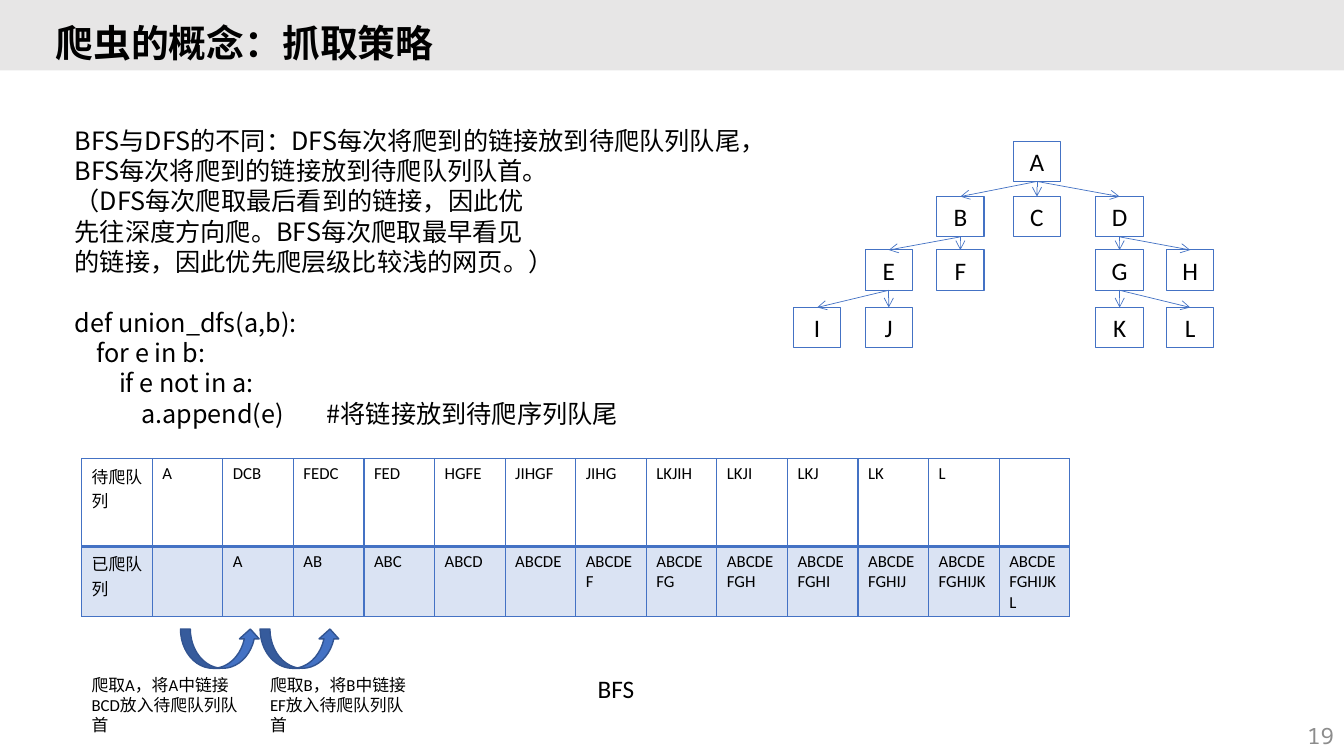
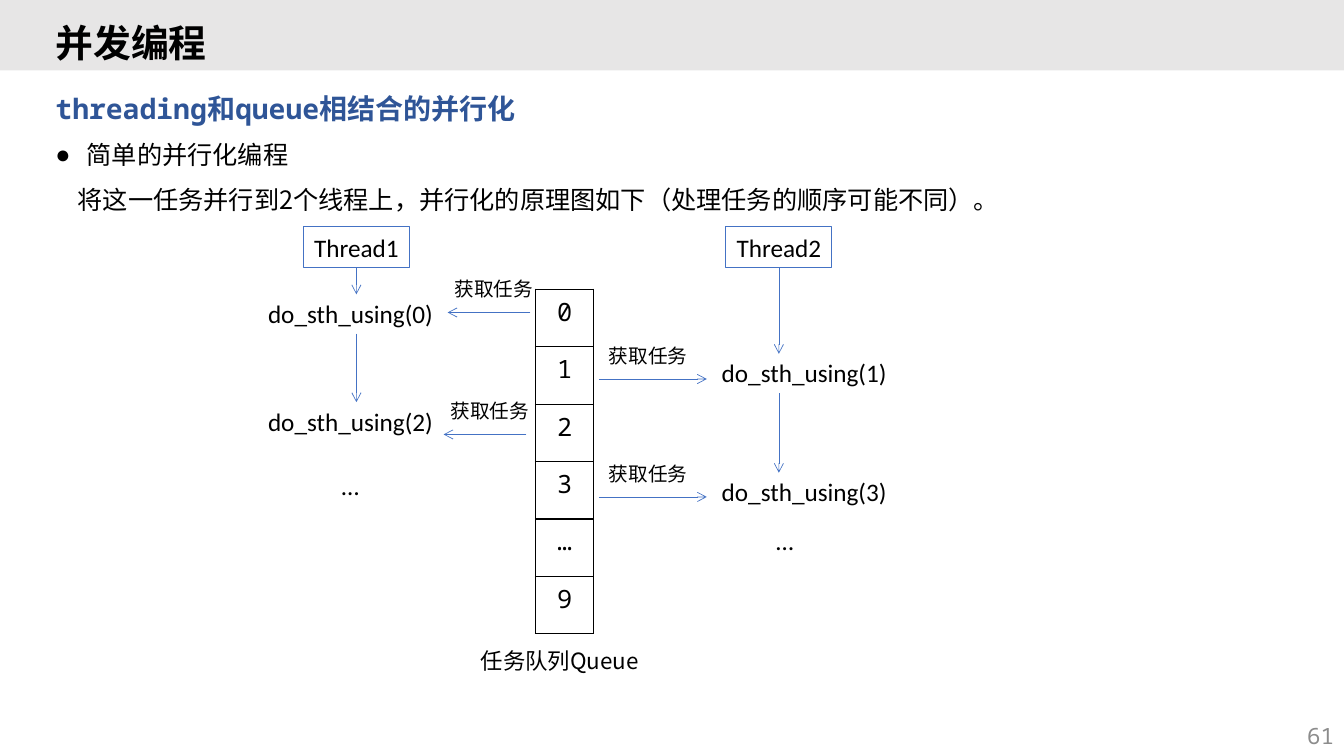
import dataclasses

import lxml.etree
import pptx
import pptx.dml.color
import pptx.enum.shapes
import pptx.enum.text
import pptx.oxml.ns
import pptx.util

SHAPE = pptx.enum.shapes.MSO_SHAPE
ALIGN = pptx.enum.text.PP_ALIGN
ANCHOR = pptx.enum.text.MSO_ANCHOR
FIT = pptx.enum.text.MSO_AUTO_SIZE
PX = 9144  # one px is 1/100 inch


@dataclasses.dataclass(frozen=True)
class Theme:
    black: str = "000000"
    band: str = "E7E6E6"
    accent: str = "4472C4"
    accent_dark: str = "325491"
    accent_tint: str = "DAE3F3"
    heading: str = "2F5597"
    muted: str = "8C8C8C"
    plain: str = "Calibri"
    cjk: str = "Noto Sans CJK SC"
    mono: str = "Noto Sans Mono"
    title: int = 27
    lead: int = 20
    text: int = 18
    caption: int = 16
    label: int = 14
    small: int = 12


@dataclasses.dataclass(frozen=True)
class Box:
    left: int
    top: int
    width: int
    height: int

    def inner(self, left, top, width, height):
        return Box(self.left + left, self.top + top, width, height)

    def emu(self):
        return [round(side * PX) for side in dataclasses.astuple(self)]


THEME = Theme()


# Basic helpers
def rgb(color):
    return pptx.dml.color.RGBColor.from_string(color)


def child(parent, tag, **attributes):
    return lxml.etree.SubElement(parent, pptx.oxml.ns.qn(tag), attributes)


def write(para, text, size=THEME.text, font=THEME.plain, color=THEME.black, bold=False):
    span = para.add_run()
    span.text = text
    span.font.size = pptx.util.Pt(size)
    span.font.name = font
    span.font.bold = bold
    span.font.color.rgb = rgb(color)
    child(span.font._element, "a:ea", typeface=THEME.cjk)


def place(shape, box):
    shape.left, shape.top, shape.width, shape.height = box.emu()


def add_shape(shapes, kind, box, fill=None, line=None, weight=0.75):
    shape = shapes.add_shape(kind, *box.emu())
    shape.shadow.inherit = False
    if fill:
        shape.fill.solid()
        shape.fill.fore_color.rgb = rgb(fill)
    else:
        shape.fill.background()
    if line:
        shape.line.color.rgb = rgb(line)
        shape.line.width = pptx.util.Pt(weight)
    else:
        shape.line.fill.background()
    return shape


def add_text(page, box, text, wrap=False, **style):
    label = page.shapes.add_textbox(*box.emu())
    label.text_frame.word_wrap = wrap
    write(label.text_frame.paragraphs[0], text, **style)
    return label


def add_node(shapes, box, text, wrap=True):
    node = add_shape(shapes, SHAPE.RECTANGLE, box, line=THEME.accent)
    node.text_frame.word_wrap = wrap
    node.text_frame.paragraphs[0].alignment = ALIGN.CENTER
    write(node.text_frame.paragraphs[0], text)
    return node


def add_arrow(shapes, *ends):
    arrow = shapes.add_connector(
        pptx.enum.shapes.MSO_CONNECTOR.STRAIGHT, *[round(end * PX) for end in ends])
    arrow.line.color.rgb = rgb(THEME.accent)
    arrow.line.width = pptx.util.Pt(0.5)
    child(arrow.line._get_or_add_ln(), "a:tailEnd", type="arrow")
    child(arrow.element.spPr, "a:effectLst")
    return arrow


def add_table(page, box, rows, columns):
    table = page.shapes.add_table(rows, columns, *box.emu()).table
    table.first_row = table.horz_banding = False
    return table


def style_cell(cell, color, fill=None, **weights):
    props = cell._tc.get_or_add_tcPr()
    for side in "LRTB":
        width = pptx.util.Pt(weights.get(side, 1))
        edge = child(props, f"a:ln{side}", w=str(int(width)))
        child(child(edge, "a:solidFill"), "a:srgbClr", val=color)
    if fill:
        cell.fill.solid()
        cell.fill.fore_color.rgb = rgb(fill)
    else:
        cell.fill.background()


# Shared frame: band, title, body and page number
def prepare_layout(deck):
    layout = deck.slide_layouts[1]
    for holder in layout.placeholders:
        if holder.placeholder_format.idx == 0:
            place(holder, Box(45, 11, 1251, 68))
        elif holder.placeholder_format.idx == 1:
            place(holder, Box(45, 83, 1251, 652))
    return layout


def add_band(page):
    band = add_shape(page.shapes, SHAPE.RECTANGLE, Box(0, 0, 1333, 70), fill=THEME.band)
    page.slide_layout.shapes.element.insert(2, band.element)


def start_page(deck, layout, title, number):
    page = deck.slides.add_slide(layout)
    frame = page.shapes.title.text_frame
    frame.auto_size = FIT.NONE
    frame.vertical_anchor = ANCHOR.MIDDLE
    para = frame.paragraphs[0]
    para.alignment = ALIGN.LEFT
    para.line_spacing = 0.9
    write(para, title, THEME.title, THEME.mono, bold=True)
    page.placeholders[1].text_frame.auto_size = FIT.NONE
    footer = add_text(page, Box(1033, 710, 300, 40), number, wrap=True,
                      size=THEME.caption, font=THEME.mono, color=THEME.muted)
    footer.text_frame.vertical_anchor = ANCHOR.MIDDLE
    footer.text_frame.paragraphs[0].alignment = ALIGN.RIGHT
    return page


def add_body_line(page, text, pitch, margin=0, indent=0, before=0, bullet=None,
                  tab=None, size=THEME.text, font=THEME.cjk, **style):
    frame = page.placeholders[1].text_frame
    para = frame.paragraphs[0] if not frame.text else frame.add_paragraph()
    para.line_spacing = pptx.util.Pt(pitch)
    para.space_before = pptx.util.Pt(before)
    props = para._p.get_or_add_pPr()
    props.set("marL", str(margin * PX))
    props.set("indent", str(indent * PX))
    if bullet:
        child(props, "a:buChar", char=bullet)
    else:
        child(props, "a:buNone")
    if tab:
        child(child(props, "a:tabLst"), "a:tab", pos=str(tab * PX), algn="l")
    write(para, text, size, font, **style)


# Crawling strategy page
def draw_tree(page, box):
    columns = (0, 71, 142, 218, 300, 370)
    rows = (0, 55, 108, 165)
    nodes = {"A": (3, 0), "B": (2, 1), "C": (3, 1), "D": (4, 1), "E": (1, 2), "F": (2, 2),
             "G": (4, 2), "H": (5, 2), "I": (0, 3), "J": (1, 3), "K": (4, 3), "L": (5, 3)}
    branches = {"A": "BCD", "B": "EF", "D": "GH", "E": "IJ", "G": "KL"}
    tree = page.shapes.add_group_shape().shapes
    placed = {name: add_node(tree, box.inner(columns[column], rows[row], 47, 40), name)
              for name, (column, row) in nodes.items()}
    for parent, children in branches.items():
        for name in children:
            start, end = placed[parent], placed[name]
            arrow = add_arrow(tree, (start.left + start.width / 2) / PX,
                              (start.top + start.height) / PX,
                              (end.left + end.width / 2) / PX, end.top / PX)
            arrow.begin_connect(start, 2)
            arrow.end_connect(end, 0)


def draw_crawl_table(page, box):
    waiting = ["待爬队列", "A", "DCB", "FEDC", "FED", "HGFE", "JIHGF", "JIHG",
               "LKJIH", "LKJI", "LKJ", "LK", "L", ""]
    visited = ["已爬队列"] + ["ABCDEFGHIJKL"[:count] for count in range(13)]
    table = add_table(page, box, 2, len(waiting))
    looks = ({"B": 2}, {"T": 2, "fill": THEME.accent_tint})
    for row, (texts, height, look) in enumerate(zip((waiting, visited), (87, 70), looks)):
        table.rows[row].height = height * PX
        for column, text in enumerate(texts):
            cell = table.cell(row, column)
            style_cell(cell, THEME.accent, **look)
            if text:
                write(cell.text_frame.paragraphs[0], text, THEME.small)


def draw_crawl_steps(page, box):
    for left in (98, 177):
        add_shape(page.shapes, SHAPE.CURVED_UP_ARROW, box.inner(left, 0, 79, 39),
                  THEME.accent, THEME.accent_dark, 1)
    for left, text in ((0, "爬取A，将A中链接BCD放入待爬队列队首"),
                       (177, "爬取B，将B中链接EF放入待爬队列队首")):
        add_text(page, box.inner(left, 40, 165, 71), text, wrap=True, size=THEME.small)
    add_text(page, box.inner(502, 39, 59, 40), "BFS")


def build_strategy_page(deck, layout):
    page = start_page(deck, layout, "爬虫的概念：抓取策略", "19")
    add_band(page)
    place(page.placeholders[1], Box(45, 119, 1251, 616))
    pitch = 21.65
    for text in ("BFS与DFS的不同：DFS每次将爬到的链接放到待爬队列队尾，",
                 "BFS每次将爬到的链接放到待爬队列队首。",
                 "（DFS每次爬取最后看到的链接，因此优",
                 "先往深度方向爬。BFS每次爬取最早看见",
                 "的链接，因此优先爬层级比较浅的网页。）"):
        add_body_line(page, text, pitch, margin=19)
    code = ("def union_dfs(a,b):", "for e in b:", "if e not in a:",
            "a.append(e)\t#将链接放到待爬序列队尾")
    for depth, text in enumerate(code):
        add_body_line(page, text, pitch, margin=19, indent=22 * depth,
                      before=0 if depth else pitch, tab=300)
    draw_tree(page, Box(787, 140, 417, 205))
    draw_crawl_table(page, Box(81, 455, 980, 157))
    draw_crawl_steps(page, Box(81, 624, 561, 111))


# Concurrency page
def draw_queue(page, box):
    items = "0123…9"
    table = add_table(page, box.inner(64, 0, 58, 342), len(items), 1)
    for row, text in enumerate(items):
        cell = table.cell(row, 0)
        style_cell(cell, THEME.black)
        cell.text_frame.paragraphs[0].alignment = ALIGN.CENTER
        write(cell.text_frame.paragraphs[0], text, font=THEME.mono)
    add_text(page, box.inner(0, 350, 182, 37), "任务队列Queue",
             size=THEME.caption, font=THEME.cjk)


def draw_lane(page, box, name, calls):
    add_node(page.shapes, box.inner(0, 0, box.width, 40), name, wrap=False)
    axis, bottom = box.left + box.width / 2, box.top + 41
    for text, left, top in calls:
        target = box.inner(left, top, 38 if text == "…" else 188, 40)
        add_text(page, target, text)
        if text != "…":
            add_arrow(page.shapes, axis, bottom, axis, target.top + 1)
            bottom = target.top + 40


def draw_fetch(page, box, start, end):
    add_text(page, box, "获取任务", size=THEME.label, font=THEME.cjk)
    level = box.top + 40
    add_arrow(page.shapes, box.left + start, level, box.left + end, level)


def build_concurrency_page(deck, layout):
    page = start_page(deck, layout, "并发编程", "61")
    add_body_line(page, "threading和queue相结合的并行化", 26, size=THEME.lead,
                  font=THEME.mono, color=THEME.heading, bold=True)
    add_body_line(page, "简单的并行化编程", 23, margin=31, indent=-31, before=9, bullet="●")
    add_body_line(page, "将这一任务并行到2个线程上，并行化的原理图如下（处理任务的顺序可能不同）。",
                  23, indent=22, before=9)
    draw_queue(page, Box(467, 287, 182, 387))
    draw_lane(page, Box(301, 225, 105, 277), "Thread1",
              [("do_sth_using(0)", -45, 66), ("do_sth_using(2)", -45, 173), ("…", 28, 237)])
    draw_lane(page, Box(720, 225, 105, 331), "Thread2",
              [("do_sth_using(1)", -14, 125), ("do_sth_using(3)", -14, 243), ("…", 40, 291)])
    for left, top, start, end in ((441, 270, 85, 3), (594, 336, 0, 107),
                                  (437, 391, 85, 3), (594, 453, 0, 107)):
        draw_fetch(page, Box(left, top, 99, 34), start, end)


def main():
    deck = pptx.Presentation()
    deck.slide_width, deck.slide_height = 1333 * PX, 750 * PX
    layout = prepare_layout(deck)
    build_strategy_page(deck, layout)
    build_concurrency_page(deck, layout)
    deck.save("out.pptx")


if __name__ == "__main__":
    main()
